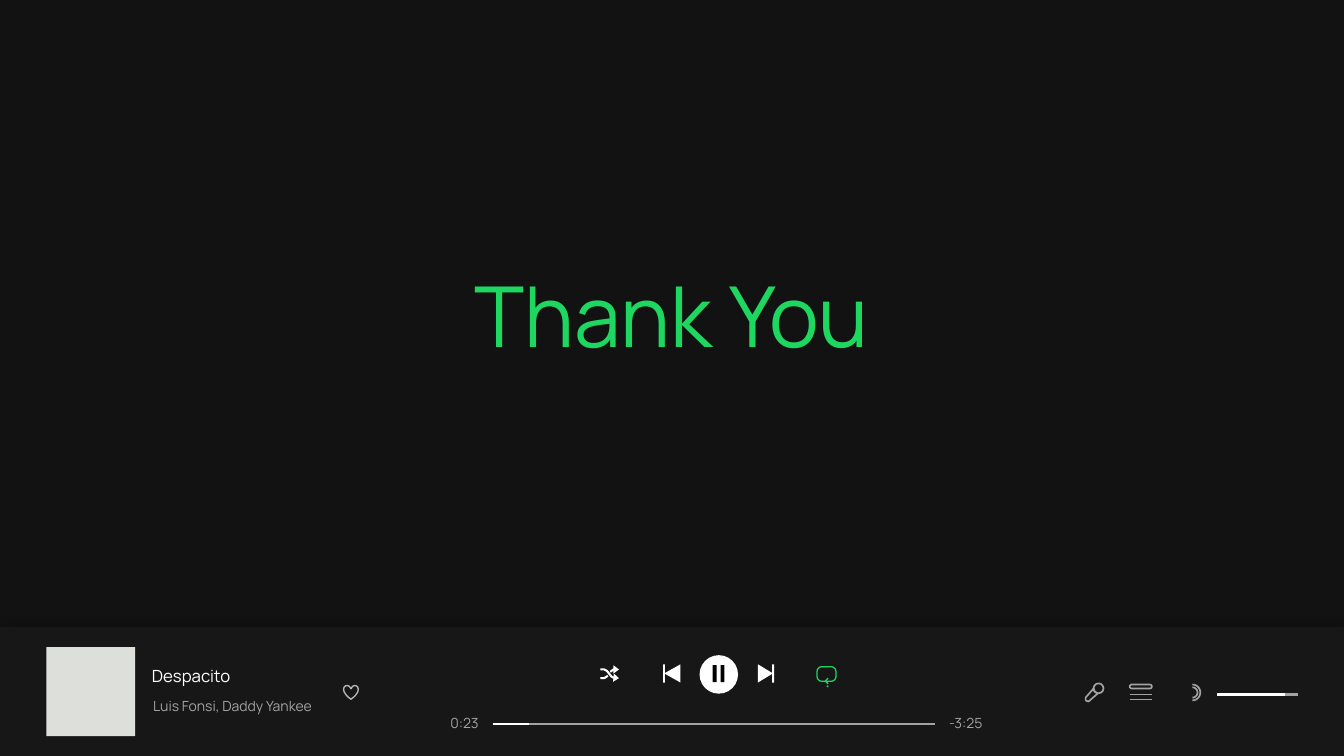
import math

from lxml import etree
from pptx import Presentation
from pptx import util as u
from pptx.dml.color import RGBColor
from pptx.enum import shapes, text
from pptx.oxml.ns import qn

GREEN, WHITE, GREY, BLACK = "1ED760", "FFFFFF", "A3A3A3", "000000"
KINDS = shapes.MSO_SHAPE


def colour(value):
    return RGBColor.from_string(value)


def apply(target, values):
    for name, value in values.items():
        setattr(target, name, value)


class PlayerSlide:
    """Draws the parts of a music player slide in one style, in centimetres."""

    font = "Manrope"

    def __init__(self, presentation, background):
        self.slide = presentation.slides.add_slide(presentation.slide_layouts[5])
        self.slide.background.fill.solid()
        self.slide.background.fill.fore_color.rgb = colour(background)

    def set_words(self, shape, box, words, size, ink, wrap=True, align=text.PP_ALIGN.LEFT):
        apply(shape, dict(zip(("left", "top", "width", "height"), map(u.Cm, box))))
        frame = shape.text_frame
        apply(frame, {"text": words, "word_wrap": wrap,
                      "auto_size": text.MSO_AUTO_SIZE.NONE,
                      "vertical_anchor": text.MSO_ANCHOR.MIDDLE})
        paragraph = frame.paragraphs[0]
        paragraph.alignment = align
        font = paragraph.runs[0].font
        apply(font, {"name": self.font, "size": u.Pt(size)})
        font.color.rgb = colour(ink)

    def title(self, box, words, size, ink):
        self.set_words(self.slide.shapes.title, box, words, size, ink,
                       align=text.PP_ALIGN.CENTER)

    def label(self, box, words, size, ink, wrap=True):
        shape = self.slide.shapes.add_textbox(*map(u.Cm, box))
        self.set_words(shape, box, words, size, ink, wrap)

    def paint(self, shape, fill=None, line=None, weight=1.2):
        shape.shadow.inherit = False
        if fill:
            shape.fill.solid()
            shape.fill.fore_color.rgb = colour(fill)
        else:
            shape.fill.background()
        if line:
            shape.line.color.rgb = colour(line)
            shape.line.width = u.Pt(weight)
        else:
            shape.line.fill.background()
        return shape

    def preset(self, kind, box, **style):
        shape = self.slide.shapes.add_shape(kind, *map(u.Cm, box))
        return self.paint(shape, **style)

    def outline(self, points, close=False, arrow=False, **style):
        first, *others = [(u.Cm(x), u.Cm(y)) for x, y in points]
        builder = self.slide.shapes.build_freeform(*first)
        builder.add_line_segments(others, close=close)
        shape = self.paint(builder.convert_to_shape(), **style)
        if arrow:
            line = shape._element.spPr.find(qn("a:ln"))
            etree.SubElement(line, qn("a:tailEnd"), type="triangle", w="med", len="sm")
        return shape

    def rule(self, left, right, y, ink, weight):
        line = self.slide.shapes.add_connector(
            shapes.MSO_CONNECTOR.STRAIGHT, u.Cm(left), u.Cm(y), u.Cm(right), u.Cm(y))
        line.line.color.rgb = colour(ink)
        line.line.width = u.Pt(weight)
        etree.SubElement(line._element.spPr, qn("a:effectLst"))

    def progress(self, left, reached, right, y):
        self.rule(left, right, y, GREY, 1.8)
        self.rule(left, reached, y, WHITE, 1.8)

    def cast_shadow(self, shape):
        effects = shape._element.spPr.find(qn("a:effectLst"))
        shadow = etree.SubElement(effects, qn("a:outerShdw"), blurRad=str(u.Pt(10)),
                                  dist=str(u.Pt(3)), dir="2700000", rotWithShape="0")
        ink = etree.SubElement(shadow, qn("a:srgbClr"), val=BLACK)
        etree.SubElement(ink, qn("a:alpha"), val="60000")


def draw_track(player):
    bar = player.preset(KINDS.RECTANGLE, (0, 15.8, 33.87, 3.25), fill="171717")
    player.cast_shadow(bar)
    player.preset(KINDS.RECTANGLE, (1.17, 16.31, 2.24, 2.24), fill="DDDFDA")
    player.label((3.61, 17.45, 4.9, 0.69), "Luis Fonsi, Daddy Yankee", 10, GREY)
    player.label((3.58, 16.64, 5.31, 0.76), "Despacito", 12, WHITE)
    player.preset(KINDS.HEART, (8.66, 17.27, 0.37, 0.35), line="B4B5B2", weight=1)
    player.label((11.1, 17.86, 1.22, 0.69), "0:23", 10, GREY, wrap=False)
    player.label((23.67, 17.86, 1.42, 0.69), "-3:25", 10, GREY, wrap=False)
    player.progress(12.42, 13.34, 23.57, 18.24)


def draw_controls(player):
    player.preset(KINDS.OVAL, (17.63, 16.51, 0.97, 0.97), fill=WHITE)
    for left in (17.96, 18.16):
        player.preset(KINDS.RECTANGLE, (left, 16.76, 0.1, 0.43), fill=BLACK)
    for tip, base, stop in ((19.48, 19.1, 19.46), (16.74, 17.15, 16.71)):
        player.outline([(tip, 16.97), (base, 16.74), (base, 17.2)], close=True, fill=WHITE)
        player.preset(KINDS.RECTANGLE, (stop, 16.74, 0.05, 0.46), fill=WHITE)

    repeat = player.preset(KINDS.ROUNDED_RECTANGLE, (20.59, 16.8, 0.48, 0.37),
                           line=GREEN, weight=0.9)
    repeat.adjustments[0] = 0.33
    player.outline([(20.87, 17.09), (20.8, 17.16), (20.87, 17.23)], line=GREEN, weight=0.9)
    player.preset(KINDS.OVAL, (20.83, 17.27, 0.05, 0.05), fill=GREEN)

    high, low = 16.87, 17.09
    shuffle = {"line": WHITE, "weight": 1.5}
    player.outline([(15.13, high), (15.23, high), (15.3, 16.91), (15.41, 17.05),
                    (15.49, low), (15.6, low)], arrow=True, **shuffle)
    player.outline([(15.38, 16.93), (15.46, high), (15.6, high)], arrow=True, **shuffle)
    player.outline([(15.13, low), (15.23, low), (15.32, 17.03)], **shuffle)


def draw_devices(player):
    player.outline([(27.56, 17.35), (27.36, 17.58), (27.36, 17.65), (27.43, 17.68),
                    (27.66, 17.48), (27.58, 17.42)], close=True, line=GREY)
    player.preset(KINDS.OVAL, (27.56, 17.22, 0.25, 0.25), line=GREY)

    queue = player.preset(KINDS.ROUNDED_RECTANGLE, (28.47, 17.25, 0.56, 0.1), line=GREY)
    queue.adjustments[0] = 0.5
    for y in (17.5, 17.63):
        player.rule(28.47, 29.03, y, GREY, 1.2)

    for radius in (0.2, 0.13):
        angles = [math.radians(degrees) for degrees in range(-90, 91, 15)]
        player.outline([(30.05 + radius * math.cos(angle), 17.45 + radius * math.sin(angle))
                        for angle in angles], line=GREY)
    player.progress(30.68, 32.39, 32.72, 17.5)


def main():
    presentation = Presentation()
    apply(presentation, {"slide_width": u.Cm(33.87), "slide_height": u.Cm(19.05)})
    player = PlayerSlide(presentation, "121212")
    player.title((10.97, 6.5, 11.91, 2.82), "Thank You", 60, GREEN)
    draw_track(player)
    draw_controls(player)
    draw_devices(player)
    presentation.save("out.pptx")


if __name__ == "__main__":
    main()
